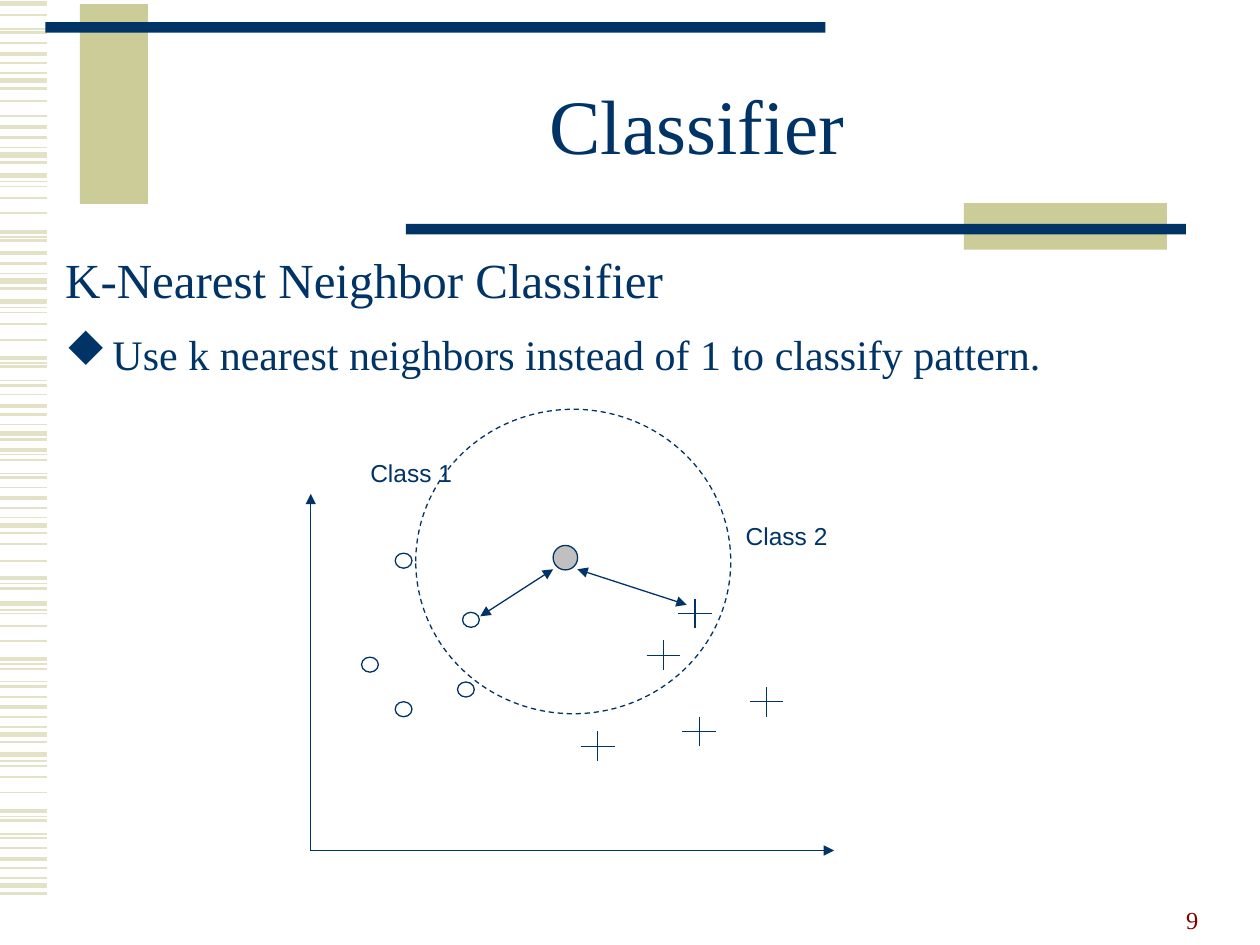
from lxml.etree import SubElement
from pptx import Presentation
from pptx.dml.color import RGBColor
from pptx.enum.dml import MSO_LINE
from pptx.enum.shapes import MSO_CONNECTOR, MSO_SHAPE
from pptx.enum.text import MSO_ANCHOR, MSO_AUTO_SIZE, PP_ALIGN
from pptx.oxml.ns import qn
from pptx.util import Pt

NAVY, KHAKI, CREAM, GRAY, MAROON = "003366", "CCCC99", "E3E2C7", "C0C0C0", "800000"
SERIF, SANS, SYMBOLS = "Times New Roman", "Arial", "Wingdings"

TITLE = "Classifier"
HEADING = "K-Nearest Neighbor Classifier"
BULLET = "Use k nearest neighbors instead of 1 to classify pattern."
DIAMOND = "u"
PAGE = "9"
LABELS = [("Class 1", 204.5, 258.3), ("Class 2", 419, 294.3)]

STRIPES = {
    0.75: [16.6, 41.8, 84.2, 103.7, 135.4, 156.2, 175.7, 207.4, 217.4, 242.6, 259.9,
           270.7, 295.9, 333.4, 348.5, 379.4, 389.5, 415.4, 434.9, 466.6, 476.6, 501.8],
    1: [24.5, 57.6, 66.2, 106.6, 113, 121.7, 178.6, 185, 194.4, 225.4, 278.6,
        311, 320.4, 350.6, 357.8, 366.5, 398.2, 437.8, 444.2, 452.9, 484.6],
    1.5: [8.6, 18.7, 36, 50.4, 78.5, 92.9, 137.5, 150.5, 164.9, 209.5, 220.3, 236.9, 251.3,
          262.8, 272.9, 290.2, 304.6, 336.2, 382.3, 392.4, 409.7, 424.1, 468.7, 478.8,
          496.1, 510.5],
    2.25: [31, 72.7, 132.5, 144.7, 204.5, 231.8, 257, 284.4, 330.5, 376.6, 403.9, 463.7, 491],
    3: [2.2, 46.1, 88.6, 100.1, 160.6, 172.1, 247.7, 300.2, 344.9, 419.8, 431.3, 506.2],
}
STRIPE_END = 26.8
BARS = [
    (45.7, 2.3, 38.9, 114.2, KHAKI),
    (26, 12.7, 445.7, 6, NAVY),
    (550.8, 116.1, 116, 26.6, KHAKI),
    (232, 128, 445.7, 6, NAVY),
]

ORIGIN, Y_TIP, X_TIP = (177.6, 486), (177.6, 282.2), (476.6, 486)
CLASS1 = [(230.6, 320.4), (269.1, 354.2), (266.2, 394), (211.4, 379.8), (230.6, 405.3)]
CLASS2 = [(397.1, 350.6), (341.6, 426.4), (399.6, 418), (438.1, 401), (379.1, 374.4)]
DOT_W, DOT_H, CROSS_X, CROSS_Y = 9.6, 8.6, 9.6, 8.5
PATTERN = (316.1, 311.7, 14, 14)
NEIGHBORHOOD = (237.6, 233.9, 180, 174)
DISTANCES = [((274.4, 352.2), (316.1, 325.3)), ((329.9, 325.3), (392.4, 345.6))]


def rgb(color):
    return RGBColor.from_string(color)


def add_line(start, end, color=NAVY, width=0.75, ends=()):
    line = shapes.add_connector(MSO_CONNECTOR.STRAIGHT, *map(Pt, start + end))
    line.line.color.rgb = rgb(color)
    line.line.width = Pt(width)
    ln = line.line._get_or_add_ln()
    for end_name in ends:
        SubElement(ln, qn(f"a:{end_name}"), type="triangle")
    SubElement(line._element.spPr, qn("a:effectLst"))


def add_shape(kind, box, fill=None, outline=None):
    sp = shapes.add_shape(kind, *map(Pt, box))
    sp.shadow.inherit = False
    if fill:
        sp.fill.solid()
        sp.fill.fore_color.rgb = rgb(fill)
    else:
        sp.fill.background()
    if outline:
        sp.line.color.rgb = rgb(outline)
        sp.line.width = Pt(0.75)
    else:
        sp.line.fill.background()
    return sp


def add_run(p, text, size, font=SERIF, color=NAVY):
    r = p.add_run()
    r.text = text
    r.font.size = Pt(size)
    r.font.name = font
    r.font.color.rgb = rgb(color)


def add_text(box):
    tf = shapes.add_textbox(*map(Pt, box)).text_frame
    tf.word_wrap = True
    return tf


def add_bullet(p, char, color, indent):
    pPr = p._p.get_or_add_pPr()
    pPr.set("marL", str(Pt(indent)))
    pPr.set("indent", str(-Pt(indent)))
    SubElement(SubElement(pPr, qn("a:buClr")), qn("a:srgbClr"), val=color)
    SubElement(pPr, qn("a:buFont"), typeface=SYMBOLS, pitchFamily="2", charset="2")
    SubElement(pPr, qn("a:buChar"), char=char)


prs = Presentation()
prs.slide_width, prs.slide_height = Pt(720), Pt(540)
slide = prs.slides.add_slide(prs.slide_layouts[5])
shapes = slide.shapes

for width, heights in STRIPES.items():
    for y in heights:
        add_line((0, y), (STRIPE_END, y), CREAM, width)
for *box, color in BARS:
    add_shape(MSO_SHAPE.RECTANGLE, box, color)

title = shapes.title
title.left, title.top, title.width, title.height = map(Pt, (108, 29.7, 581, 90))
title.text_frame.vertical_anchor = MSO_ANCHOR.MIDDLE
p = title.text_frame.paragraphs[0]
p.alignment = PP_ALIGN.CENTER
p.line_spacing = 0.85
add_run(p, TITLE, 44)

tf = add_text((30.2, 132.5, 671.8, 209.5))
tf.margin_top = Pt(10)
add_run(tf.paragraphs[0], HEADING, 28)
p = tf.add_paragraph()
p.line_spacing = 1.2
p.space_before = Pt(6)
add_bullet(p, DIAMOND, NAVY, 27)
add_run(p, BULLET, 24)

tf = add_text((519.1, 501.8, 172.8, 36))
tf.vertical_anchor = MSO_ANCHOR.BOTTOM
p = tf.paragraphs[0]
p.alignment = PP_ALIGN.RIGHT
add_run(p, PAGE, 14, color=MAROON)

for tip in (Y_TIP, X_TIP):
    add_line(ORIGIN, tip, ends=["tailEnd"])
for x, y in CLASS1:
    add_shape(MSO_SHAPE.OVAL, (x - DOT_W / 2, y - DOT_H / 2, DOT_W, DOT_H), outline=NAVY)
for x, y in CLASS2:
    add_line((x - CROSS_X, y), (x + CROSS_X, y))
    add_line((x, y - CROSS_Y), (x, y + CROSS_Y))
for text, x, y in LABELS:
    tf = add_text((x, y, 61.2, 24.5))
    tf.word_wrap = False
    tf.auto_size = MSO_AUTO_SIZE.SHAPE_TO_FIT_TEXT
    add_run(tf.paragraphs[0], text, 14, SANS)

add_shape(MSO_SHAPE.OVAL, PATTERN, GRAY, NAVY)
for start, end in DISTANCES:
    add_line(start, end, ends=["headEnd", "tailEnd"])
circle = add_shape(MSO_SHAPE.OVAL, NEIGHBORHOOD, outline=NAVY)
circle.line.dash_style = MSO_LINE.DASH

prs.save("out.pptx")
